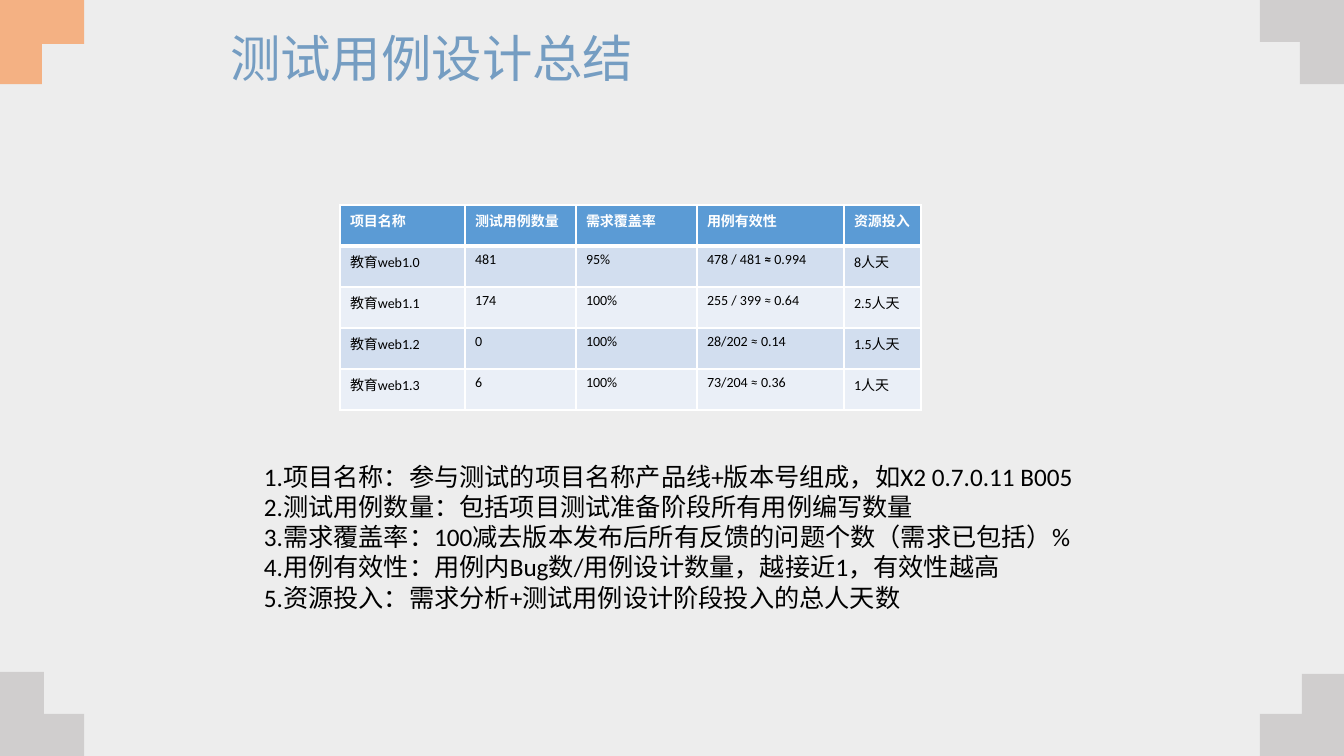
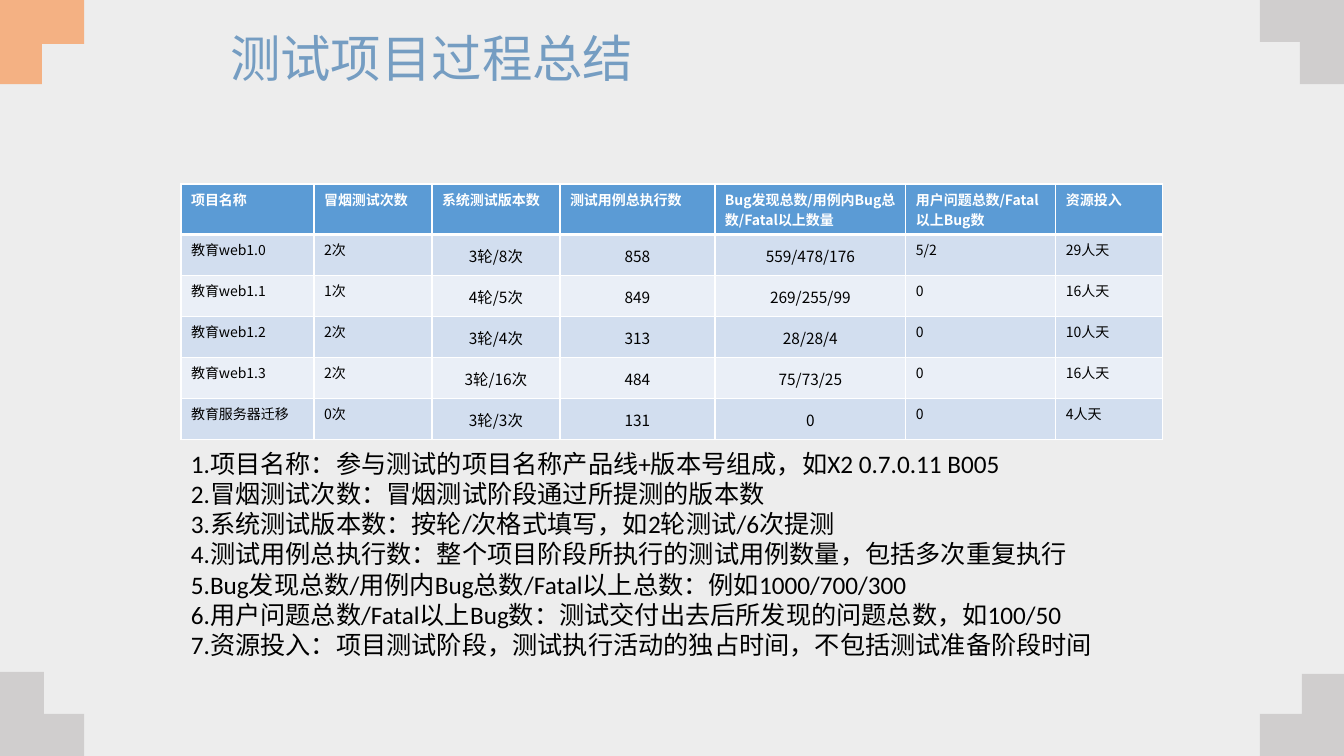
from lxml.etree import SubElement
from pptx import Presentation
from pptx.dml.color import RGBColor
from pptx.enum.text import MSO_ANCHOR, MSO_AUTO_SIZE, PP_ALIGN
from pptx.oxml.ns import qn
from pptx.util import Emu, Pt

SCALE = 914400 / 100.8
WIDTH, HEIGHT = 1344, 756
LATIN, CHINESE = "Calibri", "Noto Sans CJK SC"
BACKGROUND, ORANGE, GREY = "EDEDED", "F4B183", "D0CECE"
TITLE_BLUE, HEADER_BLUE = "759DC2", "5B9BD5"
BANDS = ["EAEFF7", "D2DEEF"]
WHITE, BLACK = "FFFFFF", "000000"
ROW_HEIGHT = 41

CORNERS = [
    ((0, HEIGHT), (84, 672), (44, 714), GREY),
    ((0, 0), (84, 84), (42, 44), ORANGE),
    ((WIDTH, 0), (1260, 84), (1300, 42), GREY),
    ((WIDTH, HEIGHT), (1260, 674), (1302, 714), GREY),
]

DESIGN_ROWS = [
    ["项目名称", "测试用例数量", "需求覆盖率", "用例有效性", "资源投入"],
    ["教育web1.0", "481", "95%", "478 / 481 |≈ |0.994", "8人天"],
    ["教育web1.1", "174", "100%", "255 / 399 ≈ 0.64", "2.5人天"],
    ["教育web1.2", "0", "100%", "28/202 ≈ 0.14", "1.5人天"],
    ["教育web1.3", "6", "100%", "73/204 ≈ 0.36", "1人天"],
]
DESIGN_NOTES = [
    "1.项目名称：参与测试的项目名称产品线+版本号组成，如X2 0.7.0.11 B005",
    "2.测试用例数量：包括项目测试准备阶段所有用例编写数量",
    "3.需求覆盖率：100减去版本发布后所有反馈的问题个数（需求已包括）%",
    "4.用例有效性：用例内Bug数/用例设计数量，越接近1，有效性越高",
    "5.资源投入：需求分析+测试用例设计阶段投入的总人天数",
]
PROCESS_ROWS = [
    ["项目名称", "冒烟测试次数", "系统测试版本数", "测试用例总执行数",
     "Bug发现总数/用例内Bug总数/Fatal以上数量", "用户问题总数/Fatal以上Bug数", "资源投入"],
    ["教育web1.0", "2次", "3轮/8次", "858", "559/478/176", "5/2", "29人天"],
    ["教育web1.1", "1次", "4轮/5次", "849", "269/255/99", "0", "16人天"],
    ["教育web1.2", "2次", "3轮/4次", "313", "28/28/4", "0", "10人天"],
    ["教育web1.3", "2次", "3轮/16次", "484", "75/73/25", "0", "16人天"],
    ["教育服务器迁移", "0次", "3轮/3次", "131", "0", "0", "4人天"],
]
PROCESS_NOTES = [
    DESIGN_NOTES[0],
    "2.冒烟测试次数：冒烟测试阶段通过所提测的版本数",
    "3.系统测试版本数：按轮/次格式填写，如2轮测试/6次提测",
    "4.测试用例总执行数：整个项目阶段所执行的测试用例数量，包括多次重复执行",
    "5.Bug发现总数/用例内Bug总数/Fatal以上总数：例如1000/700/300",
    "6.用户问题总数/Fatal以上Bug数：测试交付出去后所发现的问题总数，如100/50",
    "7.资源投入：项目测试阶段，测试执行活动的独占时间，不包括测试准备阶段时间",
]


def px(length):
    return Emu(round(length * SCALE))


def paint(fill, color):
    fill.solid()
    fill.fore_color.rgb = RGBColor.from_string(color)


def write(frame, lines, size, color=BLACK, font=LATIN, bold=False,
          align=PP_ALIGN.LEFT, spacing=None):
    for number, line in enumerate(lines):
        para = frame.add_paragraph() if number else frame.paragraphs[0]
        para.alignment = align
        para.line_spacing = spacing
        for index, piece in enumerate(line.split("|")):
            span = para.add_run()
            span.text = piece
            span.font.size = Pt(size)
            span.font.bold = bold or index % 2 == 1
            span.font.name = font
            paint(span.font.fill, color)
            SubElement(span._r.get_or_add_rPr(), qn("a:ea"), typeface=CHINESE)


def add_corner(page, layout, outer, far, notch, color):
    (left, top), (far_x, far_y), (notch_x, notch_y) = outer, far, notch
    builder = page.shapes.build_freeform(left, top, scale=SCALE)
    builder.add_line_segments([
        (far_x, top), (far_x, notch_y), (notch_x, notch_y),
        (notch_x, far_y), (left, far_y),
    ])
    corner = builder.convert_to_shape()
    corner.shadow.inherit = False
    paint(corner.fill, color)
    corner.line.fill.background()
    layout.shapes.element.append(corner.element)
    corner.element.nvSpPr.cNvPr.set("id", str(100 + len(layout.shapes)))


def add_title(page, text):
    title = page.shapes.title
    title.left, title.top, title.width, title.height = map(px, (220, 28, 905, 67))
    frame = title.text_frame
    frame.auto_size = MSO_AUTO_SIZE.NONE
    frame.vertical_anchor = MSO_ANCHOR.MIDDLE
    write(frame, [text], size=36, color=TITLE_BLUE, font=CHINESE, spacing=0.9)


def add_borders(cell, bottom):
    properties = cell._tc.get_or_add_tcPr()
    for side, points in (("L", 1), ("R", 1), ("T", 1), ("B", bottom)):
        line = SubElement(properties, qn(f"a:ln{side}"), w=str(Pt(points)))
        SubElement(SubElement(line, qn("a:solidFill")), qn("a:srgbClr"), val=WHITE)


def add_grid(page, left, top, widths, rows, font, centred=()):
    table = page.shapes.add_table(
        len(rows), len(widths), px(left), px(top),
        px(sum(widths)), px(ROW_HEIGHT * len(rows))).table
    for column, width in zip(table.columns, widths):
        column.width = px(width)
    for row_number, row in enumerate(rows):
        table.rows[row_number].height = px(ROW_HEIGHT)
        header = row_number == 0
        for column_number, text in enumerate(row):
            cell = table.cell(row_number, column_number)
            middle = not header and column_number in centred
            if middle:
                cell.vertical_anchor = MSO_ANCHOR.MIDDLE
                cell.margin_left = cell.margin_right = cell.margin_top = px(1)
                cell.margin_bottom = 0
            add_borders(cell, bottom=3 if header else 1)
            paint(cell.fill, HEADER_BLUE if header else BANDS[row_number % 2])
            write(cell.text_frame, [text], size=11 if middle else 10, font=font,
                  color=WHITE if header else BLACK, bold=header,
                  align=PP_ALIGN.CENTER if middle else PP_ALIGN.LEFT)


def add_notes(page, left, top, width, height, lines):
    box = page.shapes.add_textbox(px(left), px(top), px(width), px(height))
    box.text_frame.word_wrap = True
    write(box.text_frame, lines, size=18)


def main():
    deck = Presentation()
    deck.slide_width, deck.slide_height = px(WIDTH), px(HEIGHT)
    paint(deck.slide_master.background.fill, BACKGROUND)
    layout = deck.slide_layouts.get_by_name("Title Only")

    design = deck.slides.add_slide(layout)
    for corner in CORNERS:
        add_corner(design, layout, *corner)
    add_title(design, "测试用例设计总结")
    add_grid(design, 340, 205, [125, 111, 121, 147, 77], DESIGN_ROWS, LATIN)
    add_notes(design, 254, 456, 837, 163, DESIGN_NOTES)

    process = deck.slides.add_slide(layout)
    add_title(process, "测试项目过程总结")
    add_grid(process, 181, 184, [133, 118, 128, 155, 191, 150, 107],
             PROCESS_ROWS, CHINESE, centred=(2, 3, 4))
    add_notes(process, 181, 443, 930, 224, PROCESS_NOTES)

    deck.save("out.pptx")


main()
